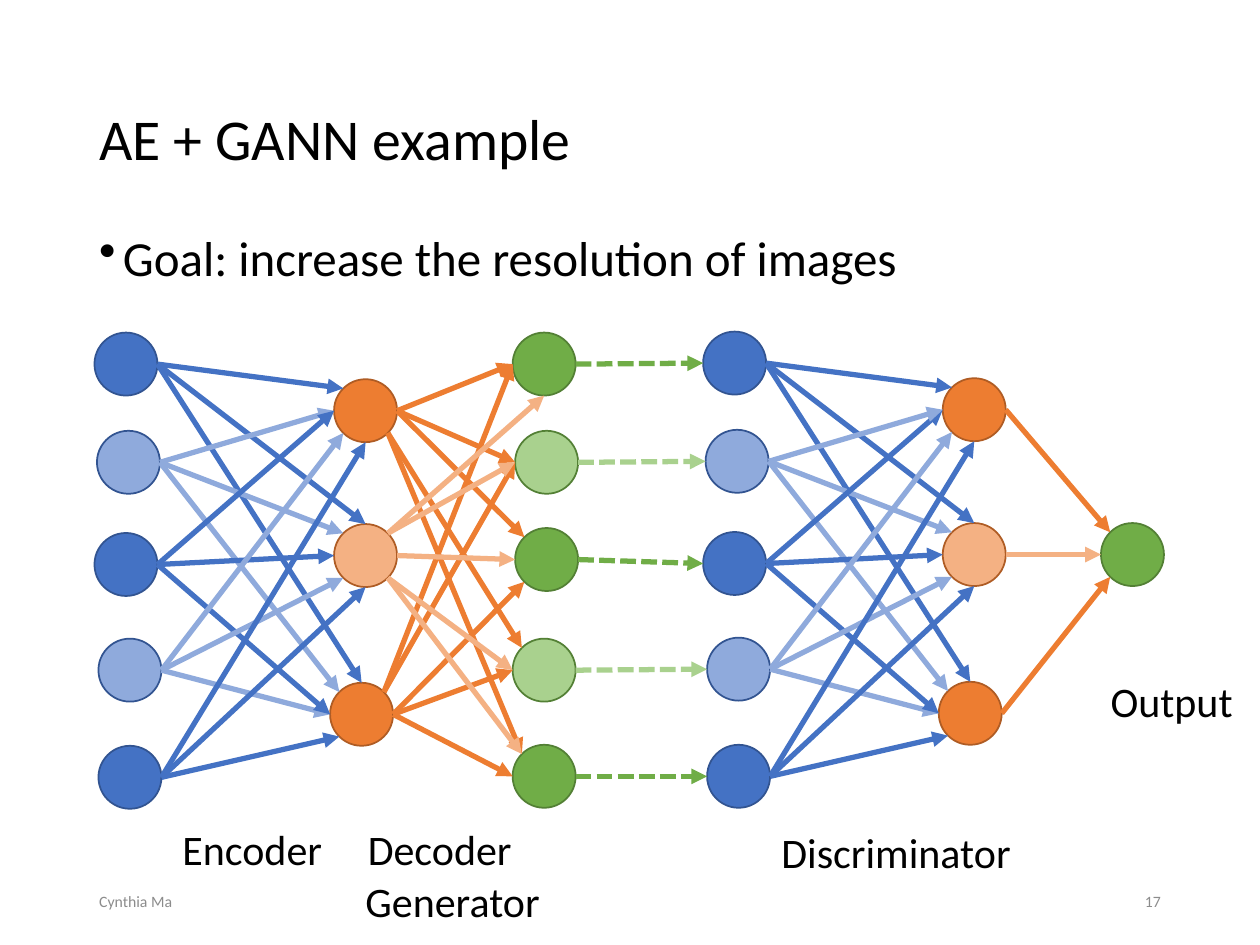
from dataclasses import dataclass, replace

from lxml.etree import SubElement
from pptx import Presentation
from pptx.dml.color import RGBColor
from pptx.enum.dml import MSO_LINE
from pptx.enum.shapes import MSO_CONNECTOR, MSO_SHAPE
from pptx.enum.text import MSO_ANCHOR, PP_ALIGN
from pptx.oxml.ns import qn
from pptx.util import Cm, Pt

BLUE, SKY, NAVY = "4472C4", "8FAADC", "325491"
ORANGE, PEACH, RUST = "ED7D31", "F4B183", "AF5C24"
GREEN, LIME, MOSS = "70AD47", "A9D18E", "538035"

RADIUS = 0.635
DIAG = RADIUS * 0.7071
PORTS = {
    "N": (0, -RADIUS), "S": (0, RADIUS), "W": (-RADIUS, 0), "E": (RADIUS, 0),
    "NW": (-DIAG, -DIAG), "NE": (DIAG, -DIAG),
    "SW": (-DIAG, DIAG), "SE": (DIAG, DIAG),
}


@dataclass(frozen=True)
class Node:
    """A neuron, placed by its centre in cm."""
    x: float
    y: float
    fill: str
    edge: str

    def port(self, side: str) -> tuple[float, float]:
        dx, dy = PORTS[side]
        return self.x + dx, self.y + dy


@dataclass(frozen=True)
class Label:
    """A line of text in a box given in cm."""
    text: str
    x: float
    y: float
    width: float
    height: float = 1.27
    size: int = 24
    align: PP_ALIGN = PP_ALIGN.CENTER
    anchor: MSO_ANCHOR = MSO_ANCHOR.TOP
    color: str = "000000"
    space: float = 1.0
    bullet: bool = False


def rgb(code: str) -> RGBColor:
    return RGBColor.from_string(code)


def layer(spots: list[tuple[float, float]], dark: str, light: str, edge: str) -> list[Node]:
    """Nodes that take the dark and the light fill in turn."""
    return [Node(x, y, light if i % 2 else dark, edge) for i, (x, y) in enumerate(spots)]


def shift(nodes: list[Node]) -> list[Node]:
    return [replace(n, x=n.x + 12.27, y=n.y - 0.02) for n in nodes]


def draw_nodes(shapes, nodes: list[Node]) -> None:
    for node in nodes:
        dot = shapes.add_shape(MSO_SHAPE.OVAL, Cm(node.x - RADIUS), Cm(node.y - RADIUS),
                               Cm(2 * RADIUS), Cm(2 * RADIUS))
        dot.shadow.inherit = False
        dot.fill.solid()
        dot.fill.fore_color.rgb = rgb(node.fill)
        dot.line.color.rgb = rgb(node.edge)
        dot.line.width = Pt(1)


def draw_link(shapes, start: Node, out: str, end: Node, into: str, dash: bool = False) -> None:
    ends = [Cm(v) for v in start.port(out) + end.port(into)]
    link = shapes.add_connector(MSO_CONNECTOR.STRAIGHT, *ends)
    link.line.color.rgb = rgb(start.fill)
    link.line.width = Pt(3)
    if dash:
        link.line.dash_style = MSO_LINE.SQUARE_DOT
    props = link._element.spPr
    SubElement(props.find(qn("a:ln")), qn("a:tailEnd"), type="triangle")
    SubElement(props, qn("a:effectLst"))


def draw_fan(shapes, inputs: list[Node], hidden: list[Node], order: tuple[int, ...]) -> None:
    """Join each input to each hidden node."""
    for j in reversed(range(len(hidden))):
        for i in order:
            draw_link(shapes, inputs[i], "E", hidden[j], FAN[i][j])


def draw_label(shapes, label: Label) -> None:
    box = shapes.add_textbox(Cm(label.x), Cm(label.y), Cm(label.width), Cm(label.height))
    frame = box.text_frame
    frame.word_wrap = True
    frame.vertical_anchor = label.anchor
    para = frame.paragraphs[0]
    para.text = label.text
    para.alignment = label.align
    para.line_spacing = label.space
    para.font.name = "Calibri"
    para.font.size = Pt(label.size)
    para.font.color.rgb = rgb(label.color)
    if label.bullet:
        props = para._p.get_or_add_pPr()
        props.set("marL", str(Cm(0.48)))
        props.set("indent", str(Cm(-0.48)))
        mark = props.makeelement(qn("a:buChar"), {"char": "•"})
        props.find(qn("a:lnSpc")).addnext(mark)


# Layers of the network
INPUTS = layer([(2.54, 7.34), (2.59, 9.32), (2.54, 11.38), (2.62, 13.51), (2.62, 15.67)],
               BLUE, SKY, NAVY)
HIDDEN = layer([(7.37, 8.28), (7.37, 11.2), (7.29, 14.4)], ORANGE, PEACH, RUST)
MADE = layer([(10.97, 7.34), (11.02, 9.32), (11.02, 11.28), (10.97, 13.51), (10.97, 15.65)],
             GREEN, LIME, MOSS)
JUDGES, INNER = shift(INPUTS), shift(HIDDEN)
RESULT = Node(22.83, 11.18, GREEN, MOSS)

# Side of each hidden node (column) that each input (row) enters
FAN = [("NW", "N", "N"), ("W", "NW", "NW"), ("W", "W", "W"), ("SW", "SW", "W"), ("S", "S", "SW")]

# Sides that each decoder link leaves and enters, by hidden node
DECODE = {
    0: [("E", "W"), ("E", "W"), ("E", "NW"), ("SE", "NW"), ("SE", "NW")],
    2: [("NE", "W"), ("NE", "W"), ("E", "SW"), ("E", "W"), ("E", "W")],
    1: [("NE", "S"), ("NE", "W"), ("E", "W"), ("SE", "W"), ("SE", "NW")],
}

LEFT, RIGHT, MID = PP_ALIGN.LEFT, PP_ALIGN.RIGHT, MSO_ANCHOR.MIDDLE
LABELS = [
    Label("AE + GANN example", 1.75, 1.02, 21.9, 3.68, 33, LEFT, MID, space=0.9),
    Label("Goal: increase the resolution of images", 1.75, 4.7, 18.47, 1.78, 28, LEFT,
          space=0.8, bullet=True),
    Label("Encoder", 2.67, 16.48, 4.83),
    Label("Decoder", 6.45, 16.48, 4.83),
    Label("Generator", 6.71, 17.53, 4.83),
    Label("Discriminator", 14.94, 16.54, 6.25),
    Label("Output", 21.69, 13.49, 3.86),
    Label("Cynthia Ma", 1.75, 17.65, 5.72, 1.02, 9, LEFT, MID, "8C8C8C"),
    Label("17", 17.93, 17.65, 5.72, 1.02, 9, RIGHT, MID, "8C8C8C"),
]


def main() -> None:
    deck = Presentation()
    deck.slide_width, deck.slide_height = Cm(25.4), Cm(19.05)
    shapes = deck.slides.add_slide(deck.slide_layouts[6]).shapes

    # Nodes
    for nodes in (INPUTS, HIDDEN, MADE, JUDGES, INNER, [RESULT]):
        draw_nodes(shapes, nodes)

    # Encoder and decoder
    draw_fan(shapes, INPUTS, HIDDEN, (4, 3, 1, 0, 2))
    for j, sides in DECODE.items():
        for node, (out, into) in zip(MADE, sides):
            draw_link(shapes, HIDDEN[j], out, node, into)

    # Discriminator
    draw_fan(shapes, JUDGES, INNER, (4, 3, 2, 1, 0))
    for node, judge in zip(MADE, JUDGES):
        draw_link(shapes, node, "E", judge, "W", dash=True)
    for node, into in zip(INNER, ("NW", "W", "SW")):
        draw_link(shapes, node, "E", RESULT, into)

    # Text
    for label in LABELS:
        draw_label(shapes, label)

    deck.save("out.pptx")


if __name__ == "__main__":
    main()
